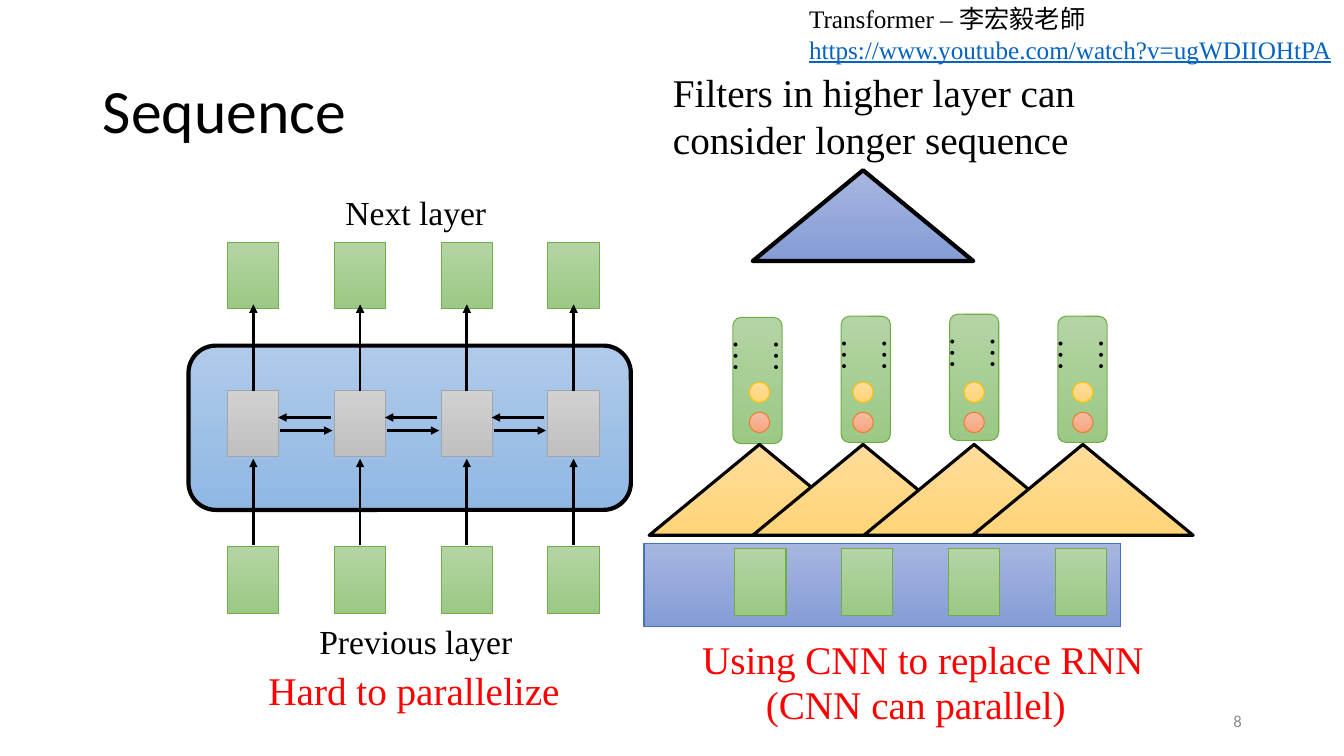
from lxml import etree
from pptx import Presentation
from pptx.dml.color import RGBColor
from pptx.enum import shapes, text
from pptx.oxml.ns import qn
from pptx.util import Cm, Pt

BLACK = RGBColor(0x00, 0x00, 0x00)
RED = RGBColor(0xFF, 0x00, 0x00)
GREY = RGBColor(0x8C, 0x8C, 0x8C)
LINK = RGBColor(0x05, 0x63, 0xC1)
GOLD = RGBColor(0xFF, 0xC0, 0x00)

# Gradient ends, from top to bottom
LEAF = RGBColor(0xB4, 0xD4, 0xA5), RGBColor(0x9B, 0xC9, 0x85)
STEEL = RGBColor(0xD1, 0xD1, 0xD1), RGBColor(0xC0, 0xC0, 0xC0)
SKY = RGBColor(0xB0, 0xCA, 0xE9), RGBColor(0x90, 0xB8, 0xE4)
INDIGO = RGBColor(0xA6, 0xB6, 0xDE), RGBColor(0x85, 0x9C, 0xD7)
SAND = RGBColor(0xFF, 0xDC, 0x9B), RGBColor(0xFF, 0xD4, 0x78)
CORAL = RGBColor(0xF7, 0xBC, 0xA2), RGBColor(0xF7, 0xA4, 0x7F)

LEAF_EDGE = RGBColor(0x70, 0xAD, 0x47)
STEEL_EDGE = RGBColor(0xA5, 0xA5, 0xA5)
INDIGO_EDGE = RGBColor(0x44, 0x72, 0xC4)
CORAL_EDGE = RGBColor(0xED, 0x7D, 0x31)

KIND = shapes.MSO_SHAPE
LEFT, MID, RIGHT = text.PP_ALIGN.LEFT, text.PP_ALIGN.CENTER, text.PP_ALIGN.RIGHT


class Board:
    face = "Times New Roman"

    def __init__(self, deck):
        self.slide = deck.slides.add_slide(deck.slide_layouts[5])
        self.items = self.slide.shapes

    def style(self, para, **extra):
        form = {"name": self.face, "color": BLACK, **extra}
        para.font.color.rgb = form.pop("color")
        for key, value in form.items():
            setattr(para.font, key, value)

    def title(self, words, *box):
        item = self.items.title
        for key, value in zip(("left", "top", "width", "height"), box):
            setattr(item, key, Cm(value))
        frame = item.text_frame
        frame.text = words
        frame.auto_size = text.MSO_AUTO_SIZE.NONE
        frame.vertical_anchor = text.MSO_ANCHOR.MIDDLE
        para = frame.paragraphs[0]
        para.alignment, para.line_spacing = LEFT, 0.9
        self.style(para, name="Calibri", size=Pt(44))

    def label(self, words, box, size, align=LEFT, **extra):
        item = self.items.add_textbox(*map(Cm, box))
        frame = item.text_frame
        frame.word_wrap = True
        frame.text = words
        for para in frame.paragraphs:
            para.alignment = align
            self.style(para, size=Pt(size), **extra)
        return item

    def shape(self, kind, box, fill, edge=BLACK, width=0.75):
        item = self.items.add_shape(kind, *map(Cm, box))
        item.shadow.inherit = False
        item.fill.gradient()
        item.fill.gradient_angle = 270
        for stop, tone in zip(item.fill.gradient_stops, fill):
            stop.color.rgb = tone
        item.line.color.rgb = edge
        item.line.width = Pt(width)

    def arrow(self, *ends):
        line = self.items.add_connector(shapes.MSO_CONNECTOR.STRAIGHT, *map(Cm, ends))
        line.line.color.rgb = BLACK
        line.line.width = Pt(2)
        etree.SubElement(line.line._get_or_add_ln(), qn("a:tailEnd"), type="triangle")
        etree.SubElement(line._element.spPr, qn("a:effectLst"))


def draw_rnn(board):
    wide, high, step = 1.29, 1.68, 2.69
    cols = [5.74 + step * i for i in range(4)]
    board.shape(KIND.ROUNDED_RECTANGLE, (4.75, 8.71, 11.15, 4.14), SKY, width=3)
    for x in cols:
        for y, fill, edge in ((6.1, LEAF, LEAF_EDGE), (9.83, STEEL, STEEL_EDGE),
                              (13.77, LEAF, LEAF_EDGE)):
            board.shape(KIND.RECTANGLE, (x, y, wide, high), fill, edge)
    for x in cols:
        axis = x + wide / 2
        board.arrow(axis, 13.74, axis, 11.56)
        board.arrow(axis, 9.86, axis, 7.67)
    for x in cols[:-1]:
        board.arrow(x + 1.32, 10.85, x + 2.64, 10.85)
        board.arrow(x + 2.59, 10.52, x + 1.27, 10.52)
    board.label("Next layer", (7.14, 4.7, 6.68, 1.27), 24, MID)
    board.label("Previous layer", (7.14, 15.52, 6.68, 1.27), 24, MID)
    board.label("Hard to parallelize", (6.5, 16.66, 7.87, 1.45), 28, MID, color=RED)


def draw_cnn(board):
    mids = (19.14, 21.75, 24.55, 27.29)
    tops = (8, 7.97, 7.92, 7.97)
    base, peak, dot = 5.56, 2.29, 0.51
    board.shape(KIND.RECTANGLE, (16.23, 13.69, 12.01, 2.11), INDIGO, INDIGO_EDGE)
    for i, top in enumerate(tops):
        x = 18.47 + 2.73 * i
        board.shape(KIND.ROUNDED_RECTANGLE, (x, top, 1.24, 3.18), LEAF, LEAF_EDGE)
        dots = board.label("……", (x, top - 0.37, 1.73, 2.31), 24, RIGHT)
        dots.rotation = 90
        board.shape(KIND.RECTANGLE, (18.52 + 2.69 * i, 13.82, 1.29, 1.68), LEAF, LEAF_EDGE)
    for mid in mids:
        board.shape(KIND.ISOSCELES_TRIANGLE, (mid - base / 2, 11.2, base, peak), SAND,
                    width=2.25)
        for y, fill, edge in ((9.63, SAND, GOLD), (10.39, CORAL, CORAL_EDGE)):
            board.shape(KIND.OVAL, (mid - dot / 2, y, dot, dot), fill, edge)
    board.shape(KIND.ISOSCELES_TRIANGLE, (mids[1] - base / 2, 4.29, base, peak), INDIGO,
                width=3)
    board.label("Filters in higher layer can consider longer sequence",
                (16.71, 1.6, 11.05, 2.64), 28)
    board.label("Using CNN to replace RNN", (17.25, 15.88, 12.01, 1.45), 28, MID, color=RED)
    board.label("(CNN can parallel)", (19.05, 17.02, 10.24, 1.45), 28, color=RED)


def main():
    deck = Presentation()
    deck.slide_width, deck.slide_height = Cm(33.87), Cm(19.05)
    board = Board(deck)
    board.title("Sequence", 2.34, 1.02, 29.21, 3.68)
    draw_rnn(board)
    draw_cnn(board)
    credit = board.label("Transformer – 李宏毅老師\nhttps://www.youtube.com/watch?v=ugWDIIOHtPA",
                         (20.14, -0.03, 13.82, 1.8), 18)
    board.style(credit.text_frame.paragraphs[1], color=LINK, underline=True)
    number = board.label("8", (23.93, 17.65, 7.62, 1.02), 12, RIGHT, name="Calibri", color=GREY)
    number.text_frame.vertical_anchor = text.MSO_ANCHOR.MIDDLE
    deck.save("out.pptx")


if __name__ == "__main__":
    main()
